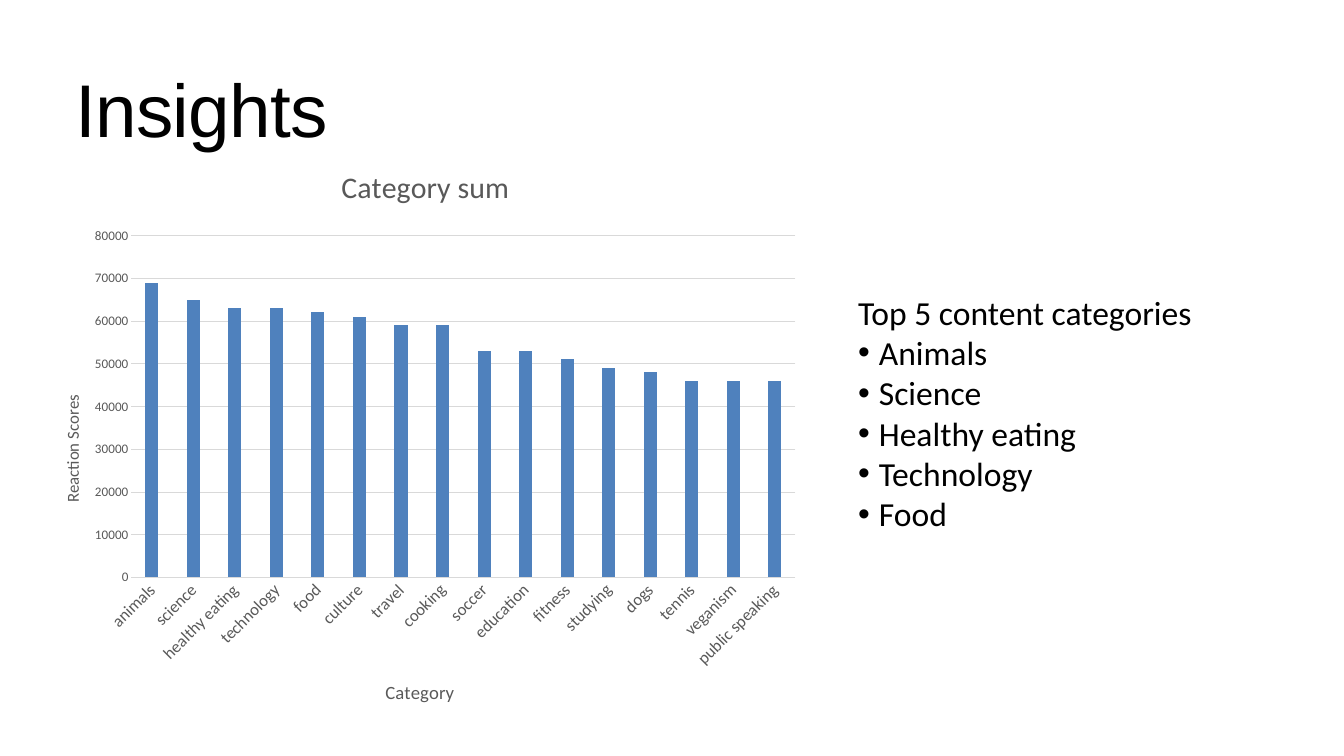
from dataclasses import dataclass

from lxml import etree
from pptx import Presentation
from pptx.chart.data import CategoryChartData
from pptx.dml.color import RGBColor
from pptx.enum.chart import XL_CHART_TYPE as ChartType, XL_TICK_MARK as TickMark
from pptx.enum.text import MSO_ANCHOR as Anchor
from pptx.oxml.ns import qn
from pptx.util import Inches, Pt


@dataclass(frozen=True)
class Theme:
    ink: RGBColor = RGBColor(0, 0, 0)
    label: RGBColor = RGBColor(0x59, 0x59, 0x59)
    rule: RGBColor = RGBColor(0xD9, 0xD9, 0xD9)
    bar: RGBColor = RGBColor(0x4F, 0x81, 0xBD)
    heading_font: str = "Arial"
    body_font: str = "Calibri"
    heading: int = 80
    body: int = 36
    chart_title: int = 32
    category_title: int = 20
    score_title: int = 18
    category_label: int = 18
    score_label: int = 14


THEME = Theme()

CATEGORY_SCORES = {
    "animals": 69000, "science": 65000, "healthy eating": 63000,
    "technology": 63000, "food": 62000, "culture": 61000,
    "travel": 59000, "cooking": 59000, "soccer": 53000,
    "education": 53000, "fitness": 51000, "studying": 49000,
    "dogs": 48000, "tennis": 46000, "veganism": 46000,
    "public speaking": 46000,
}
TOP_CATEGORIES = ["Animals", "Science", "Healthy eating", "Technology", "Food"]


def style_font(font, size, color, name=THEME.body_font):
    font.size, font.name, font.bold = Pt(size), name, False
    font.color.rgb = color


def style_rule(line):
    line.color.rgb = THEME.rule
    line.width = Pt(0.75)


def set_layout(parent, after, **parts):
    """Place a chart part by fractions of the chart area."""
    for old in parent.findall(qn("c:layout")):
        parent.remove(old)
    layout = etree.Element(qn("c:layout"))
    manual = etree.SubElement(layout, qn("c:manualLayout"))
    if "w" in parts:
        etree.SubElement(manual, qn("c:layoutTarget")).set("val", "inner")
    for axis in "xy":
        etree.SubElement(manual, qn(f"c:{axis}Mode")).set("val", "edge")
    for key, value in parts.items():
        etree.SubElement(manual, qn(f"c:{key}")).set("val", str(value))
    if after is None:
        parent.insert(0, layout)
    else:
        after.addnext(layout)


def add_text_box(slide, left, top, width, height):
    frame = slide.shapes.add_textbox(left, top, width, height).text_frame
    frame.word_wrap = True
    return frame


def add_heading(slide, left, top, width, height):
    frame = add_text_box(slide, left, top, width, height)
    frame.margin_left = frame.margin_right = 0
    frame.margin_top = frame.margin_bottom = 0
    heading = frame.paragraphs[0]
    heading.text = "Insights"
    heading.line_spacing = Pt(96)
    run = heading.runs[0]
    style_font(run.font, THEME.heading, THEME.ink, THEME.heading_font)
    run.font._element.set("spc", "-80")


def style_axis(axis, title, title_size, label_size, rotation, x, y):
    axis.major_tick_mark = axis.minor_tick_mark = TickMark.NONE
    style_font(axis.tick_labels.font, label_size, THEME.label)
    axis_title = axis.axis_title
    axis_title.text_frame.text = title
    style_font(axis_title.text_frame.paragraphs[0].runs[0].font,
               title_size, THEME.label)
    element = axis_title._element
    element.find(".//" + qn("a:bodyPr")).set("rot", str(rotation))
    set_layout(element, element.find(qn("c:tx")), x=x, y=y)


def add_score_chart(slide, left, top, width, height):
    data = CategoryChartData(number_format="General")
    data.categories = list(CATEGORY_SCORES)
    data.add_series("Category sum", list(CATEGORY_SCORES.values()))
    chart = slide.shapes.add_chart(
        ChartType.COLUMN_CLUSTERED, left, top, width, height, data).chart
    chart.has_legend = False
    style_font(chart.font, 10, THEME.ink)

    # Chart title
    chart.has_title = True
    title_frame = chart.chart_title.text_frame
    title_frame.text = "Category sum"
    style_font(title_frame.paragraphs[0].runs[0].font,
               THEME.chart_title, THEME.label)
    chart.chart_title.include_in_layout = False

    # Columns
    columns = chart.plots[0]
    columns.vary_by_categories = False
    columns.gap_width, columns.overlap = 219, -27
    fill = columns.series[0].format.fill
    fill.solid()
    fill.fore_color.rgb = THEME.bar
    plot_area = columns._element.getparent()
    set_layout(plot_area, None, x=0.12, y=0.155, w=0.858, h=0.59)

    # Axes
    categories, scores = chart.category_axis, chart.value_axis
    style_axis(categories, "Category", THEME.category_title,
               THEME.category_label, 0, 0.444, 0.915)
    style_rule(categories.format.line)
    slanted = categories._element.find(qn("c:txPr")).find(qn("a:bodyPr"))
    slanted.set("rot", str(-45 * 60000))
    style_axis(scores, "Reaction Scores", THEME.score_title,
               THEME.score_label, -90 * 60000, 0.025, 0.425)
    scores.minimum_scale, scores.maximum_scale = 0, 80000
    scores.major_unit = 10000
    scores.format.line.fill.background()
    scores.has_major_gridlines = True
    style_rule(scores.major_gridlines.format.line)


def add_top_categories(slide, left, top, width, height):
    frame = add_text_box(slide, left, top, width, height)
    frame.vertical_anchor = Anchor.TOP
    frame.text = "\n".join(["Top 5 content categories", *TOP_CATEGORIES])
    for paragraph in frame.paragraphs:
        style_font(paragraph.runs[0].font, THEME.body, THEME.ink)
    indent = Inches(0.31)
    for paragraph in frame.paragraphs[1:]:
        properties = paragraph._p.get_or_add_pPr()
        properties.set("marL", str(indent))
        properties.set("indent", str(-indent))
        etree.SubElement(properties, qn("a:buFont")).set("typeface", "Arial")
        etree.SubElement(properties, qn("a:buChar")).set("char", "•")


def main():
    deck = Presentation()
    deck.slide_width, deck.slide_height = Inches(20), Inches(11.25)
    slide = deck.slides.add_slide(deck.slide_layouts[6])
    add_heading(slide, Inches(1.12), Inches(0.94), Inches(5.07), Inches(1.35))
    add_score_chart(slide, Inches(0.57), Inches(2.17), Inches(11.52), Inches(8.62))
    add_top_categories(slide, Inches(12.67), Inches(4.29), Inches(6.58), Inches(3.74))
    deck.save("out.pptx")


if __name__ == "__main__":
    main()
